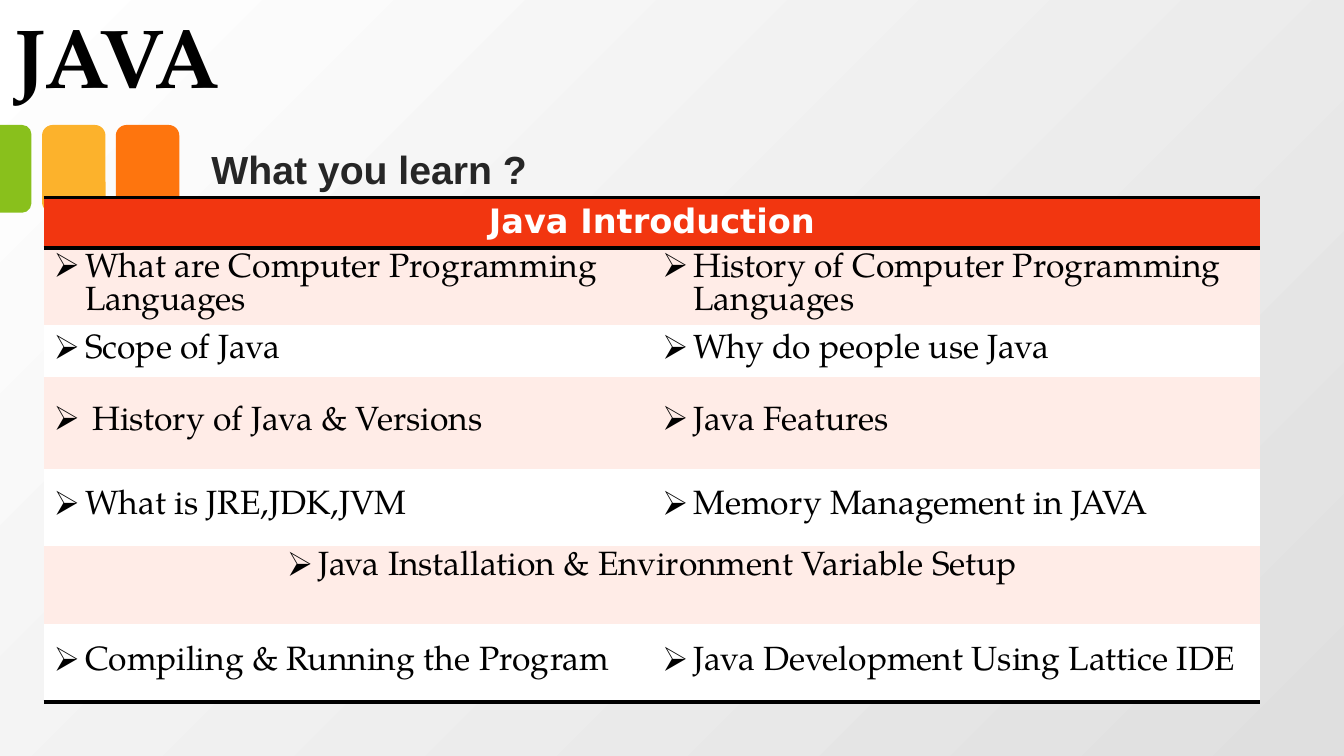
import pptx
import pptx.dml.color
import pptx.enum.shapes
import pptx.enum.text
import pptx.oxml
import pptx.oxml.ns
import pptx.util
from lxml import etree

Cm = pptx.util.Cm
Pt = pptx.util.Pt
RGB = pptx.dml.color.RGBColor
SHAPE = pptx.enum.shapes.MSO_SHAPE
ANCHOR = pptx.enum.text.MSO_ANCHOR
ALIGN = pptx.enum.text.PP_ALIGN
qn = pptx.oxml.ns.qn

BLACK = RGB(0x00, 0x00, 0x00)
WHITE = RGB(0xFF, 0xFF, 0xFF)
GREY = RGB(0xDF, 0xDF, 0xDF)
CHARCOAL = RGB(0x26, 0x26, 0x26)
RED = RGB(0xF2, 0x36, 0x10)
PINK = RGB(0xFF, 0xEC, 0xE7)
ORANGE = RGB(0xFE, 0x75, 0x0E)
AMBER = RGB(0xFC, 0xB2, 0x2C)
GREEN = RGB(0x89, 0xC0, 0x1C)

SERIF = "TeX Gyre Pagella"
NO_GRID_STYLE = "{2D5ABB26-0587-4C30-8999-92F81FD0307C}"

TITLE_FONT = {"name": SERIF, "size": Pt(60), "bold": True}
SUBTITLE_FONT = {"name": "Arial", "size": Pt(28), "bold": True}
HEADER_FONT = {"name": "DejaVu Sans", "size": Pt(24), "bold": True}
TOPIC_FONT = {"name": SERIF, "size": Pt(24), "bold": False}

# A single topic in a row spans both columns.
TOPICS = [
    ["What are Computer Programming Languages", "History of Computer Programming Languages"],
    ["Scope of Java", "Why do people use Java"],
    ["History of Java & Versions", "Java Features"],
    ["What is JRE,JDK,JVM", "Memory Management in JAVA"],
    ["Java Installation & Environment Variable Setup"],
    ["Compiling & Running the Program", "Java Development Using Lattice IDE"],
]
ROW_HEIGHTS = [1.25, 1.9, 1.3, 2.31, 1.96, 1.96, 1.96]
WIDE_INDENT_TOPIC = "History of Java & Versions"


def write(paragraph, text, font_values, color):
    run = paragraph.add_run()
    run.text = text
    for key, value in font_values.items():
        setattr(run.font, key, value)
    run.font.color.rgb = color


def paint_background(slide):
    """Fill the slide with a radial gradient that starts at the top left corner."""
    fill = slide.background.fill
    fill.gradient()
    for stop, color, position in zip(fill.gradient_stops, (WHITE, GREY), (0, 1)):
        stop.color.rgb = color
        stop.position = position
    gradient = slide.background._cSld.find(".//" + qn("a:gradFill"))
    gradient.remove(gradient.find(qn("a:lin")))
    radial = etree.SubElement(gradient, qn("a:path"), path="circle")
    etree.SubElement(radial, qn("a:fillToRect"), r="100000", b="100000")


def add_tabs(slide, left, top, width, height):
    """Place the green half tab at the left edge and two full tabs beside it."""
    tab_width, pitch = Cm(1.6), Cm(1.86)
    green_width = Cm(0.79)
    right = left + width
    green_left = left - (height - green_width) // 2
    green_top = top + (height - green_width) // 2
    tabs = [
        (SHAPE.ROUNDED_RECTANGLE, right - tab_width, top, tab_width, height, 0, 0.167, ORANGE),
        (SHAPE.ROUNDED_RECTANGLE, right - tab_width - pitch, top, tab_width, height, 0, 0.167, AMBER),
        (SHAPE.ROUND_2_SAME_RECTANGLE, green_left, green_top, height, green_width, 90, 0.292, GREEN),
    ]
    for preset, x, y, w, h, rotation, rounding, color in tabs:
        tab = slide.shapes.add_shape(preset, x, y, w, h)
        tab.rotation = rotation
        tab.adjustments[0] = rounding
        tab.shadow.inherit = False
        tab.fill.solid()
        tab.fill.fore_color.rgb = color
        tab.line.fill.background()


def add_title(slide, left, top, width, height):
    frame = slide.shapes.add_textbox(left, top, width, height).text_frame
    layout = {"word_wrap": True, "vertical_anchor": ANCHOR.BOTTOM,
              "margin_left": Cm(0.33), "margin_right": Cm(0.33),
              "margin_top": Cm(0.18), "margin_bottom": Cm(0.18)}
    for key, value in layout.items():
        setattr(frame, key, value)
    frame.paragraphs[0].line_spacing = 0.8
    write(frame.paragraphs[0], "JAVA", TITLE_FONT, BLACK)


def add_subtitle(slide, left, top, width, height):
    frame = slide.shapes.add_textbox(left, top, width, height).text_frame
    frame.word_wrap = False
    write(frame.paragraphs[0], "What you learn ?", SUBTITLE_FONT, CHARCOAL)


def rule_cell(cell, *sides):
    """Draw black 3 pt borders on the given sides, named in schema order."""
    properties = cell._tc.get_or_add_tcPr()
    for index, side in enumerate(sides):
        border = etree.Element(qn("a:ln" + side), w=str(Pt(3)))
        solid = etree.SubElement(border, qn("a:solidFill"))
        etree.SubElement(solid, qn("a:srgbClr"), val=str(BLACK))
        properties.insert(index, border)


def add_bullet(paragraph, indent):
    properties = paragraph._p.get_or_add_pPr()
    properties.set("marL", str(indent))
    properties.set("indent", str(-indent))
    etree.SubElement(properties, qn("a:buChar"), char="➢")


def fill_cell(cell, color):
    cell.fill.solid()
    cell.fill.fore_color.rgb = color


def write_topic(cell, topic, spans_row):
    paragraph = cell.text_frame.paragraphs[0]
    paragraph.line_spacing = Pt(24)
    add_bullet(paragraph, Cm(0.97 if topic == WIDE_INDENT_TOPIC else 0.79))
    cell.vertical_anchor = ANCHOR.TOP if spans_row else ANCHOR.MIDDLE
    if spans_row:
        paragraph.alignment = ALIGN.CENTER
    write(paragraph, topic, TOPIC_FONT, BLACK)


def add_topic_table(slide, left, top, width, height):
    table = slide.shapes.add_table(len(ROW_HEIGHTS), 2, left, top, width, height).table
    table._tbl.tblPr.find(qn("a:tableStyleId")).text = NO_GRID_STYLE
    for row, row_height in zip(table.rows, ROW_HEIGHTS):
        row.height = Cm(row_height)

    header = table.cell(0, 0)
    header.merge(table.cell(0, 1))
    header.text_frame.paragraphs[0].alignment = ALIGN.CENTER
    write(header.text_frame.paragraphs[0], "Java Introduction", HEADER_FONT, WHITE)
    for cell in table.rows[0].cells:
        fill_cell(cell, RED)
        rule_cell(cell, "T", "B")

    for number, topics in enumerate(TOPICS, 1):
        spans_row = len(topics) == 1
        if spans_row:
            table.cell(number, 0).merge(table.cell(number, 1))
        for column, topic in enumerate(topics):
            write_topic(table.cell(number, column), topic, spans_row)
        for cell in table.rows[number].cells:
            fill_cell(cell, PINK if number % 2 else WHITE)
            if number == len(TOPICS):
                rule_cell(cell, "B")


def main():
    presentation = pptx.Presentation()
    presentation.slide_width = Cm(33.87)
    presentation.slide_height = Cm(19.05)
    slide = presentation.slides.add_slide(presentation.slide_layouts[6])
    paint_background(slide)
    add_tabs(slide, Cm(0), Cm(3.15), Cm(4.52), Cm(2.21))
    add_title(slide, Cm(0.03), Cm(0.43), Cm(15.44), Cm(2.39))
    add_topic_table(slide, Cm(1.1), Cm(4.98), Cm(30.66), Cm(sum(ROW_HEIGHTS)))
    add_subtitle(slide, Cm(5.08), Cm(3.53), Cm(8.84), Cm(1.45))
    presentation.save("out.pptx")


if __name__ == "__main__":
    main()
